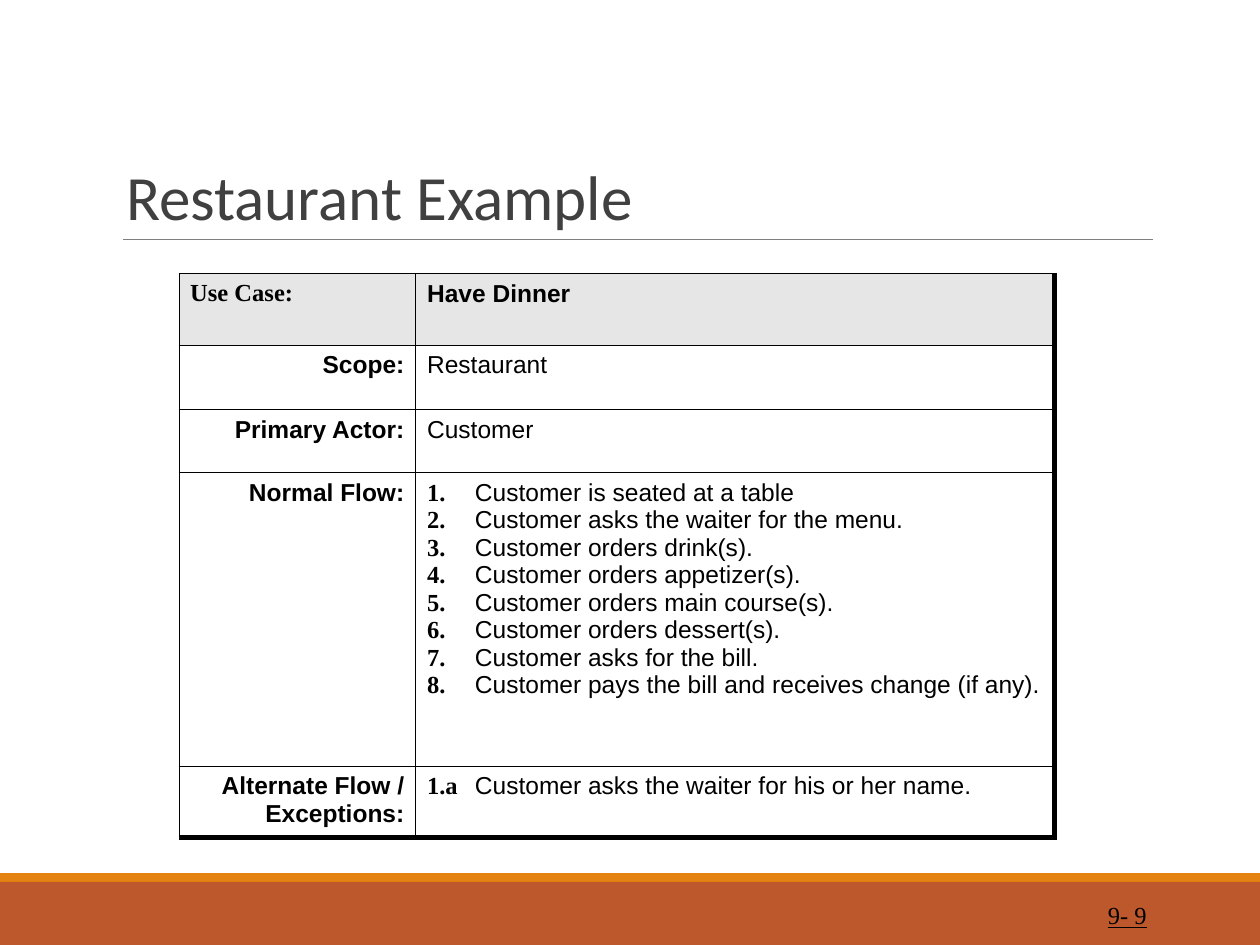
from pptx import Presentation
from pptx.dml.color import RGBColor
from pptx.enum import shapes, text
from pptx.oxml import parse_xml
from pptx.oxml import ns
from pptx.util import Inches, Pt

SANS, SERIF = "Arial", "Times New Roman"
LEFT, RIGHT = text.PP_ALIGN.LEFT, text.PP_ALIGN.RIGHT
THIN, THICK = 0.45, 3

# Content: each row is a label and its lines, each line a (number, text) pair
TITLE = "Restaurant Example"
PAGE_NUMBER = "9- 9"
STEPS = [
    "Customer is seated at a table",
    "Customer asks the waiter for the menu.",
    "Customer orders drink(s).",
    "Customer orders appetizer(s).",
    "Customer orders main course(s).",
    "Customer orders dessert(s).",
    "Customer asks for the bill.",
    "Customer pays the bill and receives change (if any).",
]
ROWS = [
    ("Use Case:", [("", "Have Dinner")]),
    ("Scope:", [("", "Restaurant")]),
    ("Primary Actor:", [("", "Customer")]),
    ("Normal Flow:", [(f"{n}.", step) for n, step in enumerate(STEPS, 1)]),
    ("Alternate Flow / Exceptions:",
     [("1.a", "Customer asks the waiter for his or her name.")]),
]
COLUMN_WIDTHS = [1.88, 5.07]
ROW_HEIGHTS = [0.57, 0.51, 0.5, 2.33, 0.57]
BANDS = [(6.93, 0.07, "E48312"), (7, 0.5, "BD582C")]  # top, height, colour


def color(value):
    return RGBColor.from_string(value)


def add_span(para, words, size=14, font=SANS, ink="000000", bold=False,
             underline=False):
    span = para.add_run()
    span.text = words
    span.font.size, span.font.name = Pt(size), font
    span.font.bold, span.font.underline = bold, underline
    span.font.color.rgb = color(ink)


def set_margins(box, side, end):
    box.margin_left = box.margin_right = Inches(side)
    box.margin_top = box.margin_bottom = Inches(end)


def hang(para, align):
    para.alignment = align
    properties = para._p.get_or_add_pPr()
    properties.set("marL", str(Inches(0.38)))
    properties.set("indent", str(-Inches(0.38)))


def set_borders(cell, **widths):
    properties = cell._tc.get_or_add_tcPr()
    for place, side in enumerate("LRTB"):
        properties.insert(place, parse_xml(
            f'<a:ln{side} {ns.nsdecls("a")} w="{Pt(widths.get(side, THIN))}">'
            '<a:solidFill><a:srgbClr val="000000"/></a:solidFill>'
            f'</a:ln{side}>'))


deck = Presentation()
deck.slide_width, deck.slide_height = Inches(10), Inches(7.5)
page = deck.slides.add_slide(deck.slide_layouts[5])

# Footer bands
for top, height, fill in BANDS:
    band = page.shapes.add_shape(shapes.MSO_SHAPE.RECTANGLE, 0, Inches(top),
                                 deck.slide_width, Inches(height))
    band.shadow.inherit = False
    band.fill.solid()
    band.fill.fore_color.rgb = color(fill)
    band.line.fill.background()

# Title and the rule beneath it
title = page.shapes.title
title.left, title.top = Inches(0.9), Inches(0.31)
title.width, title.height = Inches(8.25), Inches(1.59)
frame = title.text_frame
frame.auto_size = text.MSO_AUTO_SIZE.NONE
frame.vertical_anchor = text.MSO_ANCHOR.BOTTOM
set_margins(frame, 0.1, 0.05)
para = frame.paragraphs[0]
para.alignment, para.line_spacing = LEFT, 0.85
add_span(para, TITLE, size=36, font="Calibri", ink="404040")

rule = page.shapes.add_connector(shapes.MSO_CONNECTOR.STRAIGHT, Inches(0.98),
                                 Inches(1.9), Inches(9.15), Inches(1.9))
rule.line.color.rgb = color("7F7F7F")
rule.line.width = Pt(0.5)
rule._element.spPr.append(parse_xml(f'<a:effectLst {ns.nsdecls("a")}/>'))

# Use case table
table = page.shapes.add_table(
    len(ROWS), 2, Inches(1.42), Inches(2.17),
    Inches(sum(COLUMN_WIDTHS)), Inches(sum(ROW_HEIGHTS))).table
table.first_row = table.horz_banding = False
for column, width in zip(table.columns, COLUMN_WIDTHS):
    column.width = Inches(width)

for index, (label, lines) in enumerate(ROWS):
    header = index == 0
    bottom = THICK if index == len(ROWS) - 1 else THIN
    table.rows[index].height = Inches(ROW_HEIGHTS[index])
    label_cell, detail_cell = table.cell(index, 0), table.cell(index, 1)
    for cell in (label_cell, detail_cell):
        set_margins(cell, 0.09, 0.05)
        cell.fill.solid()
        cell.fill.fore_color.rgb = color("E6E6E6" if header else "FFFFFF")
    set_borders(label_cell, B=bottom)
    set_borders(detail_cell, R=THICK, B=bottom)

    para = label_cell.text_frame.paragraphs[0]
    hang(para, LEFT if header else RIGHT)
    add_span(para, label, font=SERIF if header else SANS, bold=True)

    frame = detail_cell.text_frame
    for place, (number, words) in enumerate(lines):
        para = frame.add_paragraph() if place else frame.paragraphs[0]
        hang(para, LEFT)
        if number:
            add_span(para, number + "\t", font=SERIF, bold=True)
        add_span(para, words, bold=header)

# Page number
box = page.shapes.add_textbox(Inches(8.12), Inches(7.06),
                              Inches(1.08), Inches(0.4))
frame = box.text_frame
frame.word_wrap = True
frame.vertical_anchor = text.MSO_ANCHOR.MIDDLE
set_margins(frame, 0.1, 0.05)
frame.paragraphs[0].alignment = RIGHT
add_span(frame.paragraphs[0], PAGE_NUMBER, font=SERIF, underline=True)

deck.save("out.pptx")
